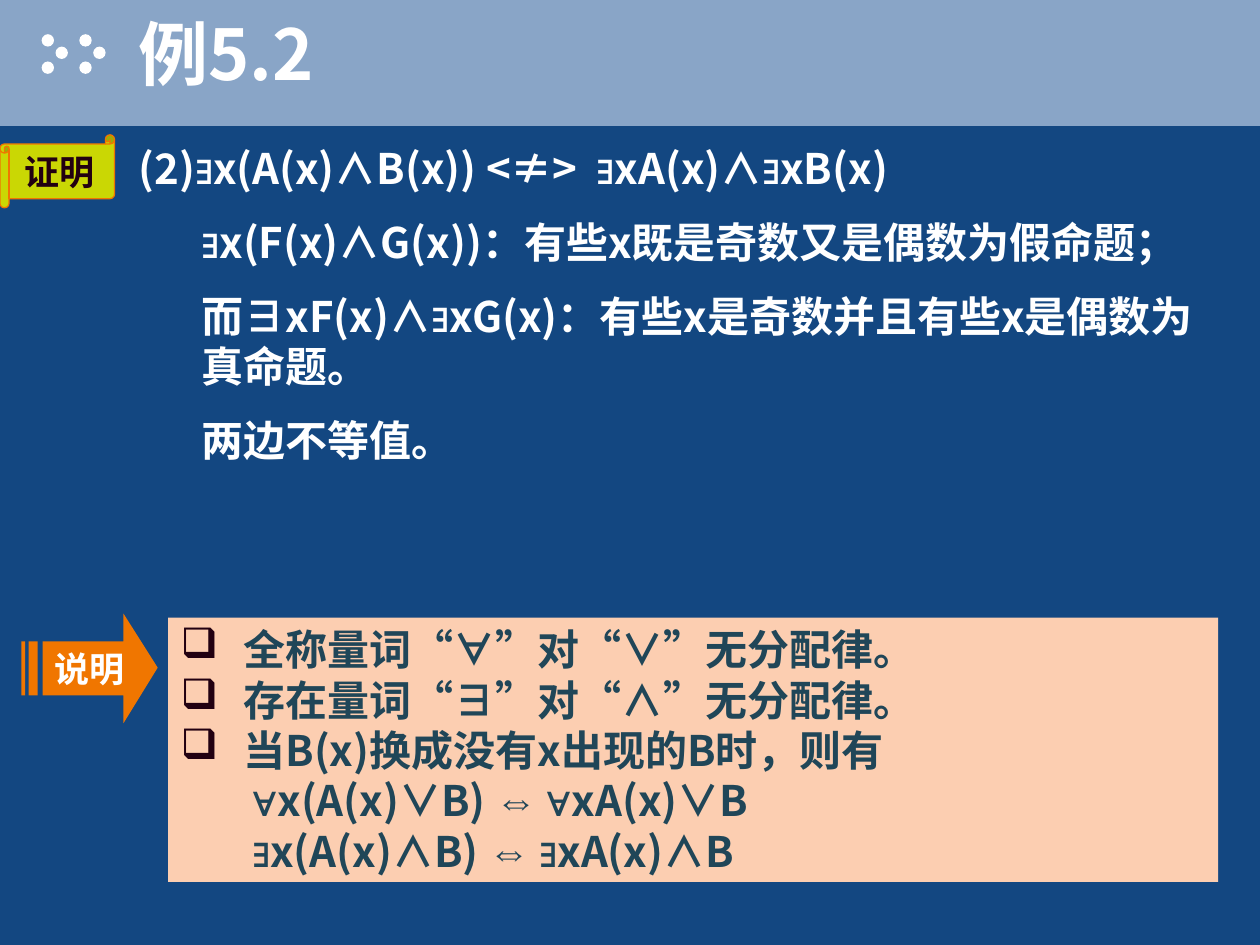
from dataclasses import dataclass
from itertools import groupby

from lxml import etree
from pptx import Presentation
from pptx.dml.color import RGBColor
from pptx.enum.shapes import MSO_SHAPE
from pptx.enum.text import MSO_ANCHOR, MSO_AUTO_SIZE, PP_ALIGN
from pptx.oxml.ns import qn
from pptx.util import Cm, Pt

RECTANGLE, OVAL, SCROLL = MSO_SHAPE.RECTANGLE, MSO_SHAPE.OVAL, MSO_SHAPE.HORIZONTAL_SCROLL
TOP, MIDDLE = MSO_ANCHOR.TOP, MSO_ANCHOR.MIDDLE
LEFT, CENTER = PP_ALIGN.LEFT, PP_ALIGN.CENTER
NO_RESIZE = MSO_AUTO_SIZE.NONE


@dataclass(frozen=True)
class Theme:
    background: str = "134781"
    band: str = "89A5C7"
    white: str = "FFFFFF"
    dark: str = "220011"
    scroll: str = "CAD704"
    orange: str = "F07600"
    panel: str = "FCCEB1"
    note: str = "204658"
    title_size: int = 40
    body_size: int = 24
    badge_size: int = 20
    font: str = "Noto Sans CJK SC"
    symbol_fonts: tuple = (("∃∀⇔", "Arial"), ("“”", "Times New Roman"))


theme = Theme()


def paint(shape, color, line=None):
    """Give a shape a solid fill, an optional thin line and no shadow."""
    shape.shadow.inherit = False
    shape.fill.solid()
    shape.fill.fore_color.rgb = RGBColor.from_string(color)
    if line:
        shape.line.color.rgb = RGBColor.from_string(line)
        shape.line.width = Pt(0.75)
    else:
        shape.line.fill.background()


def write(shape, lines, size, color, anchor=MIDDLE, align=LEFT, before=0, wrap=True):
    """Fill a shape with bold lines, giving symbols their own font."""
    frame = shape.text_frame
    frame.auto_size = NO_RESIZE
    frame.word_wrap = wrap
    frame.vertical_anchor = anchor
    for number, line in enumerate(lines):
        para = frame.add_paragraph() if number else frame.paragraphs[0]
        para.alignment = align
        para.space_before = Pt(before)
        para.line_spacing = Pt(size * 1.2)
        pick_font = lambda letter: next(
            (font for symbols, font in theme.symbol_fonts if letter in symbols), theme.font)
        for font, letters in groupby(line, pick_font):
            span = para.add_run()
            span.text = "".join(letters)
            span.font.size = Pt(size)
            span.font.bold = True
            span.font.color.rgb = RGBColor.from_string(color)
            span.font.name = font
            east_asian = etree.SubElement(span.font._element, qn("a:ea"))
            east_asian.set("typeface", theme.font)
    return frame.paragraphs


deck = Presentation()
deck.slide_width, deck.slide_height = Cm(25.4), Cm(19.05)
page = deck.slides.add_slide(deck.slide_layouts[1])
page.background.fill.solid()
page.background.fill.fore_color.rgb = RGBColor.from_string(theme.background)
shapes = page.shapes

# Header band with two dotted chevrons
band = shapes.add_shape(RECTANGLE, 0, 0, deck.slide_width, Cm(2.54))
paint(band, theme.band)
dots = shapes.add_group_shape()
for chevron_left in (0.84, 1.6):
    for shift, top in ((0, 0.69), (0.28, 0.94), (0, 1.24)):
        dot = dots.shapes.add_shape(OVAL, Cm(chevron_left + shift), Cm(top), Cm(0.25), Cm(0.25))
        paint(dot, theme.white)

# Title, brought in front of the band
title = shapes.title
title.left, title.top, title.width, title.height = Cm(2.54), 0, Cm(22.86), Cm(2.11)
shapes._spTree.append(title._element)
for para in write(title, ["例5.2"], theme.title_size, theme.white):
    for span in para.runs:
        effects = etree.Element(qn("a:effectLst"))
        shadow = etree.SubElement(effects, qn("a:outerShdw"), dist="35921", dir="2700000")
        etree.SubElement(shadow, qn("a:srgbClr"), val=theme.dark)
        span.font._element.find(qn("a:solidFill")).addnext(effects)

# Proof
proof = page.placeholders[1]
proof.left, proof.top, proof.width, proof.height = Cm(2.54), Cm(2.74), Cm(22.43), Cm(7.77)
proof_lines = [
    "(2)∃x(A(x)∧B(x)) <≠>  ∃xA(x)∧∃xB(x)",
    "∃x(F(x)∧G(x))：有些x既是奇数又是偶数为假命题；",
    "而∃xF(x)∧∃xG(x)：有些x是奇数并且有些x是偶数为真命题。",
    "两边不等值。",
]
proof_paras = write(proof, proof_lines, theme.body_size, theme.white, anchor=TOP, before=13.5)
for number, para in enumerate(proof_paras):
    properties = para._p.get_or_add_pPr()
    properties.set("marL", str(Cm(1.27)))
    properties.set("indent", str(0 if number else -Cm(1.27)))
    etree.SubElement(properties, qn("a:buNone"))

# Badges
scroll = shapes.add_shape(SCROLL, 0, Cm(2.72), Cm(2.31), Cm(1.47))
paint(scroll, theme.scroll, theme.orange)
write(scroll, ["证明"], theme.badge_size, theme.dark, align=CENTER)

arrow_head = [(2.49, 12.37), (2.49, 12.93), (0.86, 12.93), (0.86, 14.02),
              (2.49, 14.02), (2.49, 14.58), (3.18, 13.46)]
stripes = [[(left, 12.93), (left, 14.02), (right, 14.02), (right, 12.93)]
           for left, right in ((0.58, 0.76), (0.43, 0.51))]
outline = shapes.build_freeform(Cm(arrow_head[0][0]), Cm(arrow_head[0][1]))
for number, points in enumerate([arrow_head, *stripes]):
    corners = [(Cm(x), Cm(y)) for x, y in points]
    if number:
        outline.move_to(*corners[0])
    outline.add_line_segments(corners[1:], close=True)
arrow = outline.convert_to_shape()
paint(arrow, theme.orange)
write(arrow, ["说明"], theme.badge_size, theme.white, align=CENTER, wrap=False)

# Notes panel: bulleted remarks, then formulas
panel = shapes.add_shape(RECTANGLE, Cm(3.39), Cm(12.45), Cm(21.17), Cm(5.33))
paint(panel, theme.panel)
remarks = ["全称量词“∀”对“∨”无分配律。", "存在量词“∃”对“∧”无分配律。", "当B(x)换成没有x出现的B时，则有"]
formulas = ["∀x(A(x)∨B) ⇔ ∀xA(x)∨B", "∃x(A(x)∧B) ⇔ ∃xA(x)∧B"]
panel_paras = write(panel, remarks + formulas, theme.body_size, theme.note, anchor=TOP)
for number, para in enumerate(panel_paras):
    properties = para._p.get_or_add_pPr()
    if number < len(remarks):
        properties.set("marL", str(Cm(1.27)))
        properties.set("indent", str(-Cm(1.27)))
        bullet_color = etree.SubElement(properties, qn("a:buClr"))
        etree.SubElement(bullet_color, qn("a:srgbClr"), val=theme.dark)
        etree.SubElement(properties, qn("a:buChar"), char="❑")
    else:
        properties.set("marL", str(Cm(1.45)))

deck.save("out.pptx")
